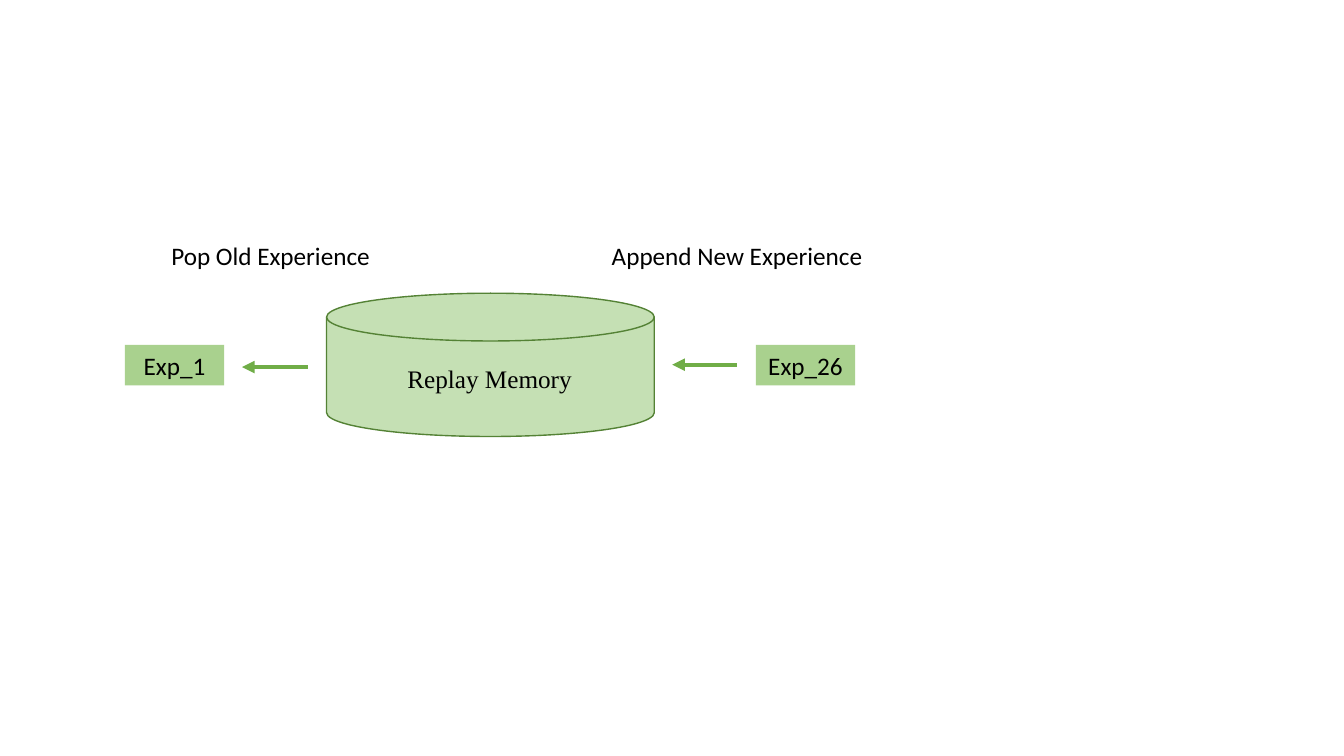
"""Build a slide showing a replay memory that appends new and pops old experience."""
from pptx import Presentation, util as u
from pptx.dml.color import RGBColor
from pptx.enum import shapes, text
from pptx.oxml.ns import qn
from lxml import etree


def rgb(value):
    return RGBColor.from_string(value)


def write(sp, label, font="Calibri", anchor=text.MSO_ANCHOR.MIDDLE):
    tf = sp.text_frame
    tf.word_wrap = True
    tf.vertical_anchor = anchor
    p = tf.paragraphs[0]
    p.text = label
    p.alignment = text.PP_ALIGN.CENTER
    p.font.size = u.Pt(18)
    p.font.name = font
    p.font.color.rgb = rgb("000000")


prs = Presentation()
prs.slide_width, prs.slide_height = u.Cm(33.87), u.Cm(19.05)
s = prs.slides.add_slide(prs.slide_layouts[6])
row_h = u.Cm(1.02)

disk = s.shapes.add_shape(shapes.MSO_SHAPE.FLOWCHART_MAGNETIC_DISK,
                          u.Cm(8.23), u.Cm(7.39), u.Cm(8.26), u.Cm(3.61))
disk.shadow.inherit = False
disk.fill.solid()
disk.fill.fore_color.rgb = rgb("C5E0B4")
disk.line.color.rgb = rgb("548235")
disk.line.width = u.Pt(1)

memory = s.shapes.add_textbox(u.Cm(8.53), u.Cm(9.02), u.Cm(7.62), row_h)
write(memory, "Replay Memory", "Times New Roman")

for start, end, y in [(7.75, 6.1, 9.25), (18.57, 16.94, 9.19)]:
    arrow = s.shapes.add_connector(shapes.MSO_CONNECTOR.STRAIGHT,
                                   u.Cm(start), u.Cm(y), u.Cm(end), u.Cm(y))
    arrow.line.color.rgb = rgb("70AD47")
    arrow.line.width = u.Pt(3)
    etree.SubElement(arrow.line._get_or_add_ln(), qn("a:tailEnd"), type="triangle")
    etree.SubElement(arrow._element.spPr, qn("a:effectLst"))

for x, label in [(3.15, "Exp_1"), (19.05, "Exp_26")]:
    box = s.shapes.add_shape(shapes.MSO_SHAPE.RECTANGLE,
                             u.Cm(x), u.Cm(8.69), u.Cm(2.5), row_h)
    box.shadow.inherit = False
    box.fill.solid()
    box.fill.fore_color.rgb = rgb("A9D18E")
    box.line.fill.background()
    write(box, label)

for x, width, label in [(3.66, 6.32, "Pop Old Experience"),
                        (15.11, 6.93, "Append New Experience")]:
    caption = s.shapes.add_textbox(u.Cm(x), u.Cm(5.92), u.Cm(width), row_h)
    write(caption, label, anchor=text.MSO_ANCHOR.TOP)

prs.save("out.pptx")
